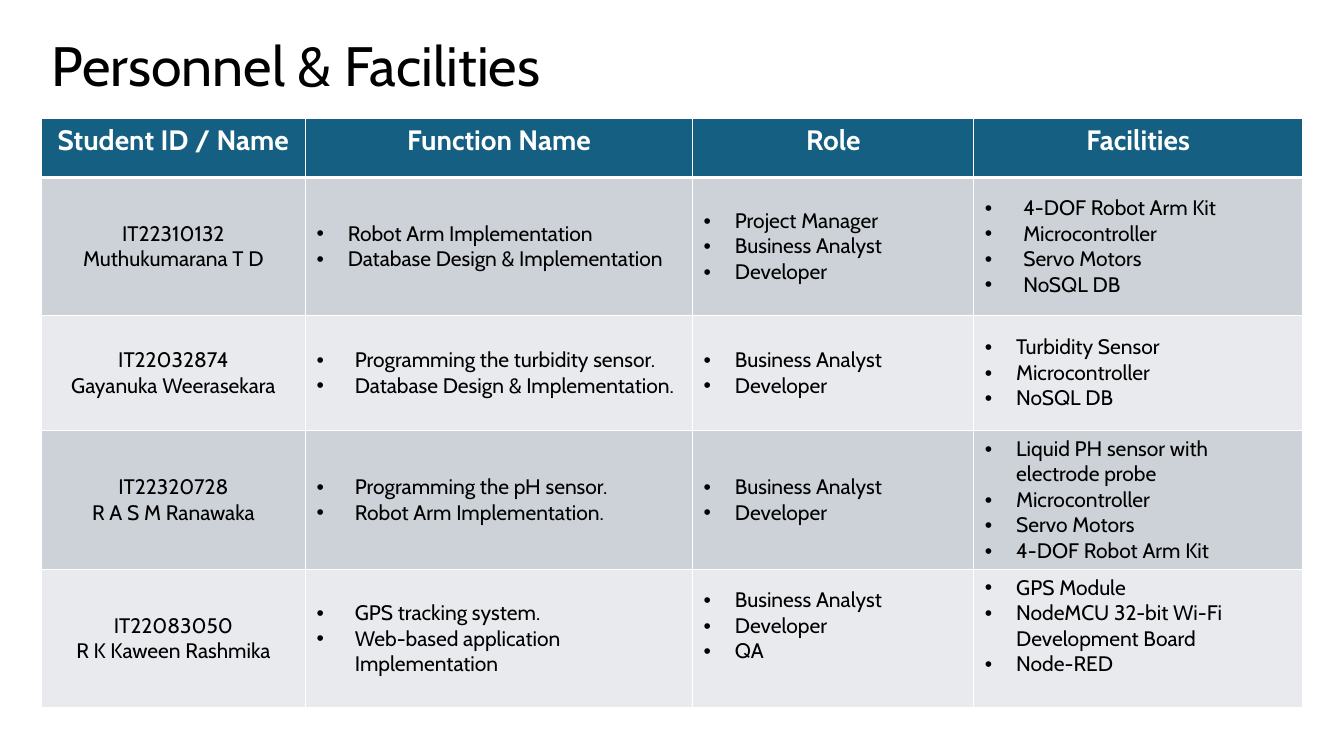
import dataclasses

import lxml.etree
import pptx
import pptx.dml.color
import pptx.enum.text
import pptx.oxml.ns
import pptx.util

GRID_COLUMNS, GRID_ROWS = 1333, 750
SLIDE_WIDTH, SLIDE_HEIGHT = pptx.util.Inches(13.33), pptx.util.Inches(7.5)
ALIGN = pptx.enum.text.PP_ALIGN
ANCHOR = pptx.enum.text.MSO_ANCHOR


@dataclasses.dataclass(frozen=True)
class Theme:
    font: str = "Cabin"
    ink: str = "000000"
    paper: str = "FFFFFF"
    header: str = "156082"
    bands: tuple = ("CCD2D8", "E8EAED")
    title_size: float = 39.6
    header_size: float = 20
    body_size: float = 15
    thin_rule: float = 1
    header_rule: float = 3


THEME = Theme()
COLUMN_SPANS = (262, 384, 279, 326)
ROW_SPANS = (59, 137, 114, 138, 137)
NARROW, WIDE = 31, 38
CELL_SIDE, CELL_END, RAISED_END = 11, 5, 30
HEADINGS = ("Student ID / Name", "Function Name", "Role", "Facilities")

MEMBERS = (
    {
        "student": ("IT22310132", "Muthukumarana T D"),
        "functions": ("Robot Arm Implementation", "Database Design & Implementation"),
        "roles": ("Project Manager", "Business Analyst", "Developer"),
        "facilities": ("4-DOF Robot Arm Kit", "Microcontroller", "Servo Motors", "NoSQL DB"),
        "indents": (NARROW, NARROW, WIDE),
    },
    {
        "student": ("IT22032874", "Gayanuka Weerasekara"),
        "functions": ("Programming the turbidity sensor.", "Database Design & Implementation."),
        "roles": ("Business Analyst", "Developer"),
        "facilities": ("Turbidity Sensor", "Microcontroller", "NoSQL DB"),
        "indents": (WIDE, NARROW, NARROW),
    },
    {
        "student": ("IT22320728", "R A S M Ranawaka"),
        "functions": ("Programming the pH sensor.", "Robot Arm Implementation."),
        "roles": ("Business Analyst", "Developer"),
        "facilities": (
            "Liquid PH sensor with electrode probe",
            "Microcontroller",
            "Servo Motors",
            "4-DOF Robot Arm Kit",
        ),
        "indents": (WIDE, NARROW, NARROW),
    },
    {
        "student": ("IT22083050", "R K Kaween Rashmika"),
        "functions": ("GPS tracking system.", "Web-based application Implementation"),
        "roles": ("Business Analyst", "Developer", "QA"),
        "facilities": ("GPS Module", "NodeMCU 32-bit Wi-Fi Development Board", "Node-RED"),
        "indents": (WIDE, NARROW, NARROW),
        "ends": (CELL_END, RAISED_END, RAISED_END),
    },
)


def across(columns):
    return round(SLIDE_WIDTH * columns / GRID_COLUMNS)


def down(rows):
    return round(SLIDE_HEIGHT * rows / GRID_ROWS)


def rgb(colour):
    return pptx.dml.color.RGBColor.from_string(colour)


def add_run(paragraph, wording, size, colour, bold=False):
    run = paragraph.add_run()
    run.text = wording
    run.font.name = THEME.font
    run.font.size = pptx.util.Pt(size)
    run.font.bold = bold
    run.font.color.rgb = rgb(colour)


def add_bullet(paragraph, indent):
    properties = paragraph._p.get_or_add_pPr()
    properties.set("marL", str(across(indent)))
    properties.set("indent", str(-across(indent)))
    for tag, attribute, value in (("a:buFont", "typeface", "Arial"), ("a:buChar", "char", "•")):
        bullet = lxml.etree.SubElement(properties, pptx.oxml.ns.qn(tag))
        bullet.set(attribute, value)


def add_borders(cell, top, bottom):
    properties = cell._tc.get_or_add_tcPr()
    sides = (("L", THEME.thin_rule), ("R", THEME.thin_rule), ("T", top), ("B", bottom))
    for side, width in sides:
        border = lxml.etree.SubElement(properties, pptx.oxml.ns.qn("a:ln" + side))
        border.set("w", str(pptx.util.Pt(width)))
        fill = lxml.etree.SubElement(border, pptx.oxml.ns.qn("a:solidFill"))
        lxml.etree.SubElement(fill, pptx.oxml.ns.qn("a:srgbClr")).set("val", THEME.paper)


def style_cell(cell, fill, top, bottom, anchor, end=CELL_END):
    add_borders(cell, top, bottom)
    cell.fill.solid()
    cell.fill.fore_color.rgb = rgb(fill)
    cell.vertical_anchor = anchor
    cell.margin_left = cell.margin_right = across(CELL_SIDE)
    cell.margin_top, cell.margin_bottom = down(CELL_END), down(end)


def write_lines(cell, lines, size, colour, bold=False, indent=None):
    frame = cell.text_frame
    for index, line in enumerate(lines):
        paragraph = frame.add_paragraph() if index else frame.paragraphs[0]
        if indent:
            add_bullet(paragraph, indent)
        paragraph.alignment = ALIGN.LEFT if indent else ALIGN.CENTER
        add_run(paragraph, line, size, colour, bold)


def add_title(slide, wording):
    title = slide.shapes.add_textbox(across(41), down(30), across(508), down(75))
    title.text_frame.word_wrap = True
    title.text_frame.vertical_anchor = ANCHOR.MIDDLE
    heading = title.text_frame.paragraphs[0]
    heading.line_spacing = 0.9
    add_run(heading, wording, THEME.title_size, THEME.ink)


def add_header(table):
    for column, heading in enumerate(HEADINGS):
        cell = table.cell(0, column)
        style_cell(cell, THEME.header, THEME.thin_rule, THEME.header_rule, ANCHOR.TOP)
        write_lines(cell, [heading], THEME.header_size, THEME.paper, bold=True)


def add_member(table, row, member):
    band = THEME.bands[(row - 1) % len(THEME.bands)]
    top = THEME.header_rule if row == 1 else THEME.thin_rule
    indents = (None, *member["indents"])
    ends = (CELL_END, *member.get("ends", (CELL_END,) * 3))
    for column, part in enumerate(("student", "functions", "roles", "facilities")):
        cell = table.cell(row, column)
        style_cell(cell, band, top, THEME.thin_rule, ANCHOR.MIDDLE, ends[column])
        write_lines(cell, member[part], THEME.body_size, THEME.ink, indent=indents[column])


def add_personnel_table(slide):
    table = slide.shapes.add_table(
        len(ROW_SPANS), len(COLUMN_SPANS), across(41), down(117),
        across(sum(COLUMN_SPANS)), down(sum(ROW_SPANS)),
    ).table
    for column, span in zip(table.columns, COLUMN_SPANS):
        column.width = across(span)
    for row, span in zip(table.rows, ROW_SPANS):
        row.height = down(span)
    add_header(table)
    for row, member in enumerate(MEMBERS, start=1):
        add_member(table, row, member)


def main():
    deck = pptx.Presentation()
    deck.slide_width, deck.slide_height = SLIDE_WIDTH, SLIDE_HEIGHT
    slide = deck.slides.add_slide(deck.slide_layouts[6])
    add_title(slide, "Personnel & Facilities")
    add_personnel_table(slide)
    deck.save("out.pptx")


if __name__ == "__main__":
    main()
